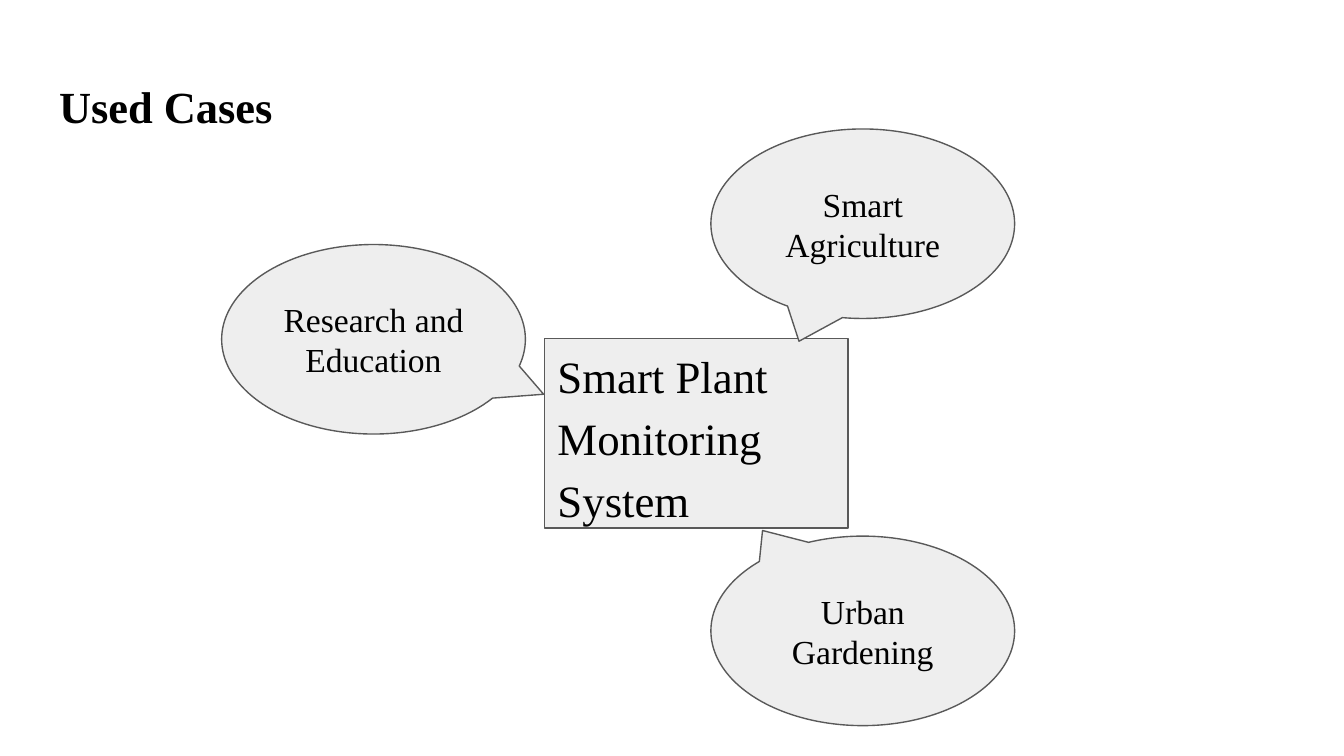
from pptx import Presentation
from pptx import util as u
from pptx.dml.color import RGBColor
from pptx.enum import shapes, text

BLACK = RGBColor(0x00, 0x00, 0x00)
PALE = RGBColor(0xEE, 0xEE, 0xEE)
GREY = RGBColor(0x59, 0x59, 0x59)
WIDTH = u.Inches(10)
HEIGHT = WIDTH * 9 // 16


def put_text(sp, words, size=18, bold=False, align=text.PP_ALIGN.CENTER,
             anchor=text.MSO_ANCHOR.MIDDLE, spacing=None, after=None):
    tf = sp.text_frame
    tf.word_wrap = True
    tf.auto_size = text.MSO_AUTO_SIZE.NONE
    tf.vertical_anchor = anchor
    tf.margin_left = tf.margin_right = u.Inches(0.1)
    tf.margin_top = tf.margin_bottom = u.Inches(0.1)
    p = tf.paragraphs[0]
    p.alignment = align
    if spacing is not None:
        p.line_spacing = spacing
    if after is not None:
        p.space_after = u.Pt(after)
    r = p.add_run()
    r.text = words
    r.font.name = "Times New Roman"
    r.font.size = u.Pt(size)
    r.font.bold = bold
    r.font.color.rgb = BLACK


class Board:
    """Style and current slide; lengths are percentages of the slide."""
    node_size = (22.6, 25.07)

    def __init__(self, prs):
        self.slide = prs.slides.add_slide(prs.slide_layouts[5])

    def box(self, left, top, width, height):
        return (int(WIDTH * left / 100), int(HEIGHT * top / 100),
                int(WIDTH * width / 100), int(HEIGHT * height / 100))

    def title(self, words, *place):
        sp = self.slide.shapes.title
        sp.left, sp.top, sp.width, sp.height = self.box(*place)
        put_text(sp, words, size=23.8, bold=True, align=text.PP_ALIGN.LEFT,
                 anchor=text.MSO_ANCHOR.TOP)

    def node(self, kind, left, top, words, **style):
        sp = self.slide.shapes.add_shape(
            kind, *self.box(left, top, *self.node_size))
        sp.shadow.inherit = False
        sp.fill.solid()
        sp.fill.fore_color.rgb = PALE
        sp.line.color.rgb = GREY
        sp.line.width = u.Pt(0.75)
        put_text(sp, words, **style)
        return sp

    def hub(self, left, top, words):
        self.node(shapes.MSO_SHAPE.RECTANGLE, left, top, words, size=24,
                  align=text.PP_ALIGN.LEFT, spacing=1.15, after=12)

    def callout(self, left, top, words, tip):
        sp = self.node(shapes.MSO_SHAPE.OVAL_CALLOUT, left, top, words)
        sp.adjustments[0], sp.adjustments[1] = tip


def main():
    prs = Presentation()
    prs.slide_width, prs.slide_height = WIDTH, HEIGHT
    board = Board(prs)

    # Heading
    board.title("Used Cases", 3.4, 8.71, 93.2, 11.2)

    # System in the centre
    board.hub(40.5, 44.8, "Smart Plant Monitoring System")

    # Use cases pointing at the system
    right = 52.9
    board.callout(right, 17.07, "Smart Agriculture", (-0.21, 0.62))
    board.callout(16.5, 32.36, "Research and Education", (0.56, 0.29))
    board.callout(right, 70.93, "Urban Gardening", (-0.33, -0.53))

    prs.save("out.pptx")


if __name__ == "__main__":
    main()
